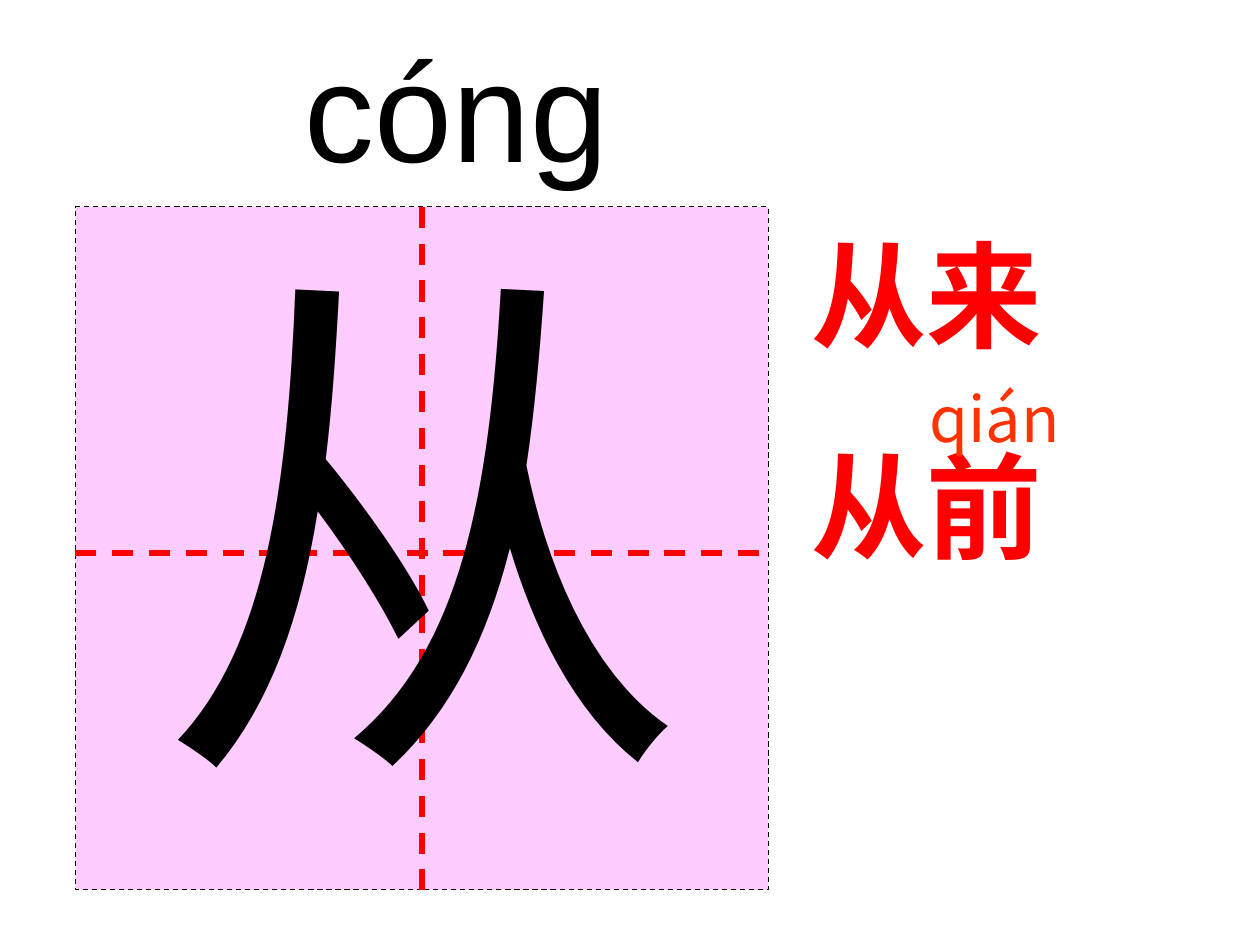
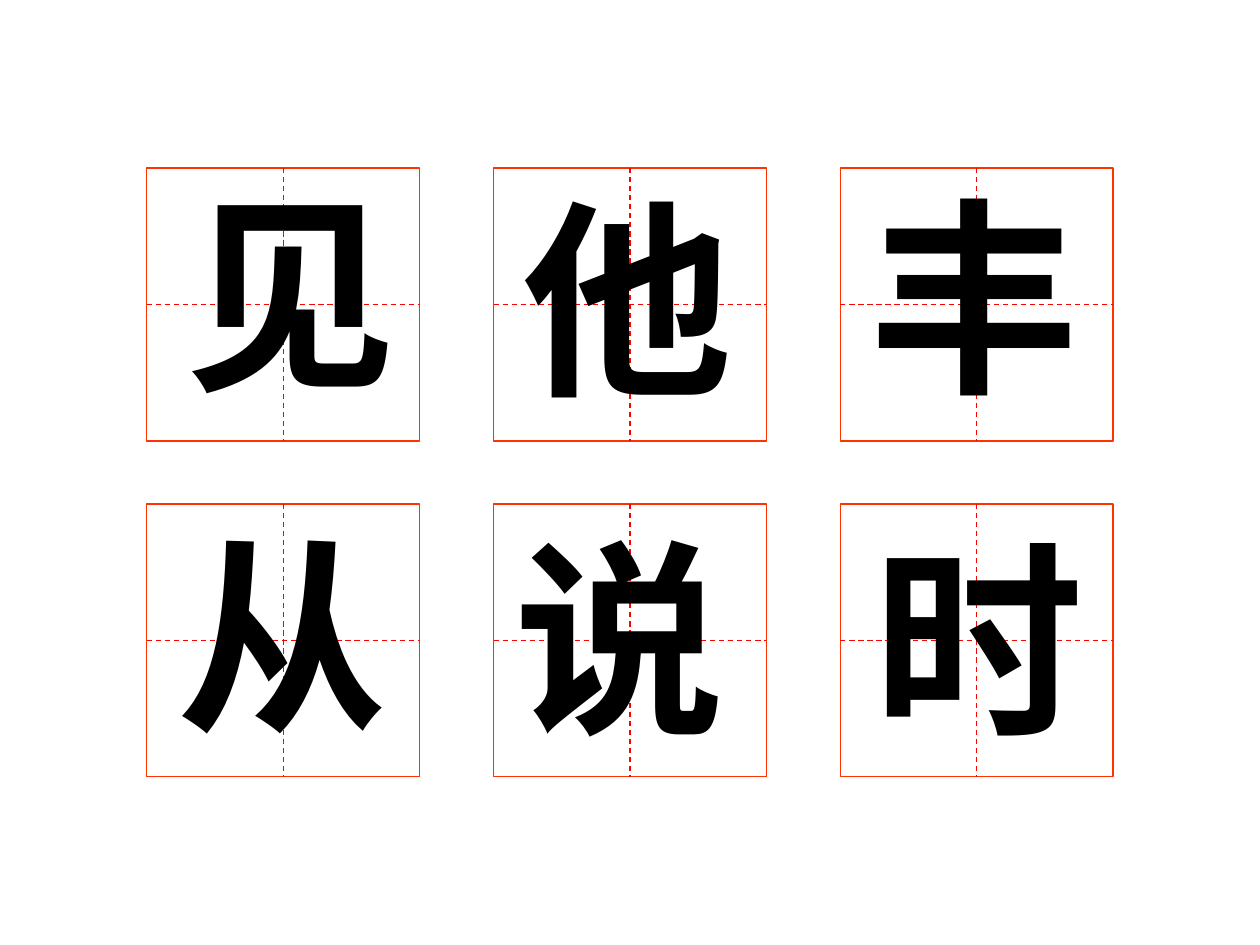
from pptx import Presentation
from pptx.dml.color import RGBColor
from pptx.enum.dml import MSO_LINE_DASH_STYLE as Dash
from pptx.enum.shapes import MSO_CONNECTOR as Connector, MSO_SHAPE as Shape
from pptx.enum.text import MSO_ANCHOR as Anchor, MSO_AUTO_SIZE as AutoSize, PP_ALIGN as Align
from pptx.oxml.ns import qn
from pptx.util import Cm, Pt

BLACK = RGBColor(0x00, 0x00, 0x00)
RED = RGBColor(0xFF, 0x00, 0x00)
ORANGE = RGBColor(0xFF, 0x33, 0x00)
PINK = RGBColor(0xFF, 0xCC, 0xFF)

LATIN = "Arial"
SERIF = "Times New Roman"
CHINESE = "Noto Sans CJK SC"

# Lesson slide
PINYIN = "cóng"
CHARACTER = "从"
WORDS = ["从来", "从前"]
WORD_PINYIN = "qián"

# Review slide: character and its offset from the corner of its square, in cm
REVIEW_ROWS = [
    [("见", 0.53, -0.2), ("他", 0.33, -0.1), ("丰", 0.33, -0.13)],
    [("从", 0.36, -0.08), ("说", 0.18, -0.03), ("时", 0.41, 0)],
]
SQUARE = 5.5
GRID_LEFT, GRID_TOP = 2.96, 3.39
COLUMN_STEP, ROW_STEP = 6.99, 6.77


def format_text(shape, lines, size, color, font, bold=False, space_between=0):
    frame = shape.text_frame
    frame.word_wrap = True
    frame.auto_size = AutoSize.NONE
    frame.vertical_anchor = Anchor.TOP
    frame.text = "\n".join(lines)
    for index, paragraph in enumerate(frame.paragraphs):
        paragraph.alignment = Align.LEFT
        paragraph.space_before = Pt(space_between if index else 0)
        paragraph.font.size = Pt(size)
        paragraph.font.bold = bold
        paragraph.font.color.rgb = color
        paragraph.font.name = font
        east_asian = paragraph.font._element.makeelement(qn("a:ea"), {"typeface": CHINESE})
        paragraph.font._element.find(qn("a:latin")).addnext(east_asian)


def add_text(slide, box, lines, *style, **options):
    shape = slide.shapes.add_textbox(*map(Cm, box))
    format_text(shape, lines, *style, **options)


def add_guide(slide, start, end, weight):
    guide = slide.shapes.add_connector(Connector.STRAIGHT, *map(Cm, start + end))
    guide.line.color.rgb = RED
    guide.line.width = Pt(weight)
    guide.line.dash_style = Dash.DASH
    properties = guide._element.spPr
    properties.append(properties.makeelement(qn("a:effectLst"), {}))
    return guide


def add_writing_square(slide, box, outline, guide_weight, fill=None, dash=None, middle=None):
    """Add a square with dashed cross guides; middle sets an off-centre height for the level guide."""
    left, top, width, height = box
    square = slide.shapes.add_shape(Shape.RECTANGLE, *map(Cm, box))
    square.shadow.inherit = False
    if fill is None:
        square.fill.background()
    else:
        square.fill.solid()
        square.fill.fore_color.rgb = fill
    square.line.color.rgb = outline
    square.line.width = Pt(0.75)
    square.line.dash_style = dash

    level = middle or top + height / 2
    center = left + width / 2
    across = add_guide(slide, (left, level), (left + width, level), guide_weight)
    down = add_guide(slide, (center, top), (center, top + height), guide_weight)
    down.begin_connect(square, 0)
    down.end_connect(square, 2)
    if middle is None:
        across.begin_connect(square, 1)
        across.end_connect(square, 3)


def build_lesson(presentation):
    slide = presentation.slides.add_slide(presentation.slide_layouts[5])
    title = slide.shapes.title
    title.left, title.top, title.width, title.height = map(Cm, (5.89, 0.33, 8.41, 3.66))
    format_text(title, [PINYIN], 80, BLACK, LATIN)
    add_writing_square(slide, (1.52, 4.17, 13.97, 13.77), BLACK, 3,
                       fill=PINK, dash=Dash.DASH, middle=11.15)
    add_text(slide, (2.9, 3.76, 12.27, 13.18), [CHARACTER], 305, BLACK, SERIF)
    add_text(slide, (16.1, 4.4, 7.42, 11.5), WORDS, 66, RED, SERIF,
             bold=True, space_between=41.2)
    add_text(slide, (18.49, 7.52, 4.39, 1.78), [WORD_PINYIN], 36, ORANGE, CHINESE)


def build_review(presentation):
    slide = presentation.slides.add_slide(presentation.slide_layouts[6])
    for row, characters in enumerate(REVIEW_ROWS):
        for column, (character, shift_x, shift_y) in enumerate(characters):
            left = GRID_LEFT + column * COLUMN_STEP
            top = GRID_TOP + row * ROW_STEP
            add_writing_square(slide, (left, top, SQUARE, SQUARE), ORANGE, 0.75)
            add_text(slide, (left + shift_x, top + shift_y, 4.65, 5.33),
                     [character], 120, BLACK, CHINESE, bold=True)


def main():
    presentation = Presentation()
    presentation.slide_width = Cm(25.4)
    presentation.slide_height = Cm(19.05)
    build_lesson(presentation)
    build_review(presentation)
    presentation.save("out.pptx")


if __name__ == "__main__":
    main()
